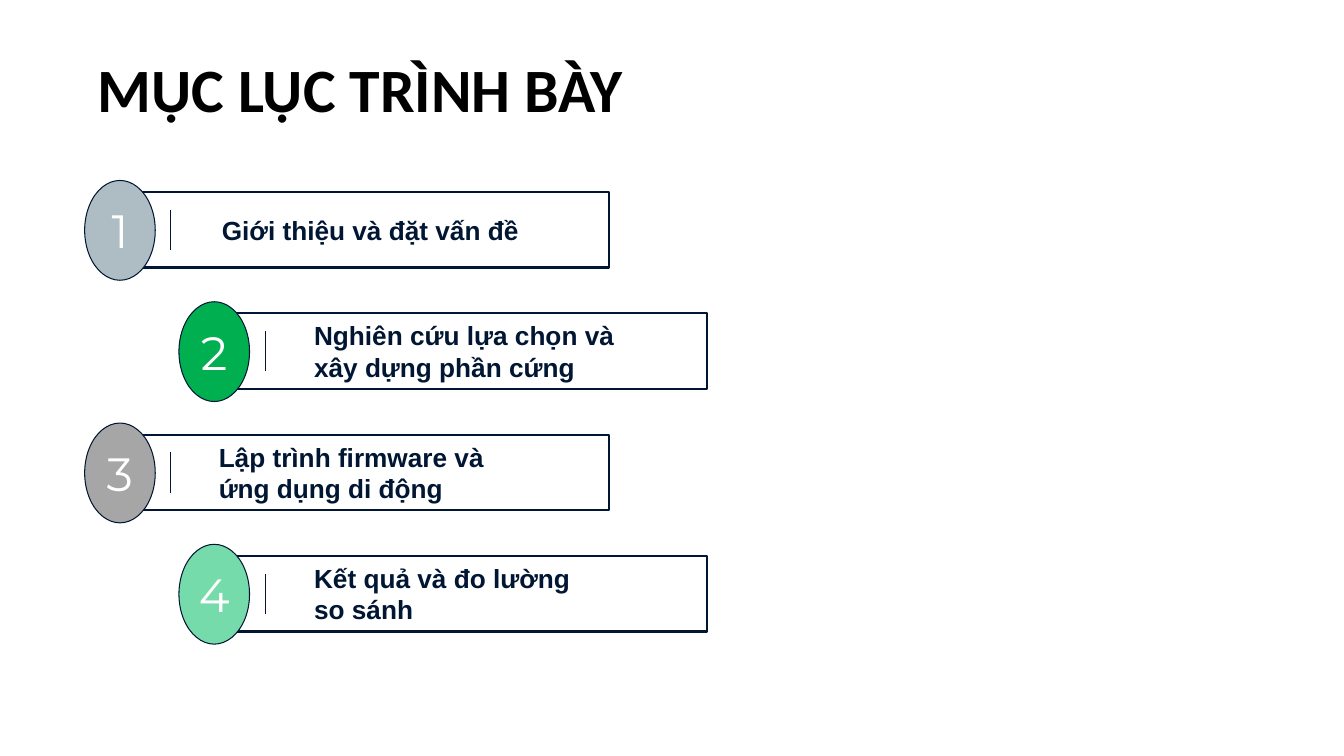
from dataclasses import dataclass

from lxml.etree import SubElement
from pptx import Presentation
from pptx.dml.color import RGBColor
from pptx.enum.shapes import MSO_CONNECTOR, MSO_SHAPE
from pptx.enum.text import MSO_ANCHOR, PP_ALIGN
from pptx.oxml.ns import qn
from pptx.util import Inches, Pt


@dataclass(frozen=True)
class Theme:
    ink: str = "001633"
    black: str = "000000"
    white: str = "FFFFFF"
    title_size: float = 44
    number_size: float = 33.3
    label_size: float = 18.7
    bar_line: float = 1.6
    thin_line: float = 0.75


@dataclass(frozen=True)
class Box:
    left: float
    top: float
    width: float
    height: float

    def inner(self, left, top, width, height):
        return Box(self.left + left, self.top + top, width, height)

    def place(self):
        return [cells(n) for n in (self.left, self.top, self.width, self.height)]


@dataclass(frozen=True)
class Entry:
    label: str
    color: str
    bar_width: float
    label_left: float
    label_width: float


THEME = Theme()
CELLS_PER_INCH = 10
OVAL_WIDTH, OVAL_HEIGHT = 7, 9.9
BAR_TOP, BAR_HEIGHT = 1.15, 7.5
STEP_RIGHT = 9.35
INSET = 1.3

ENTRIES = [
    Entry("Giới thiệu và đặt vấn đề", "AEBCC4", 48.5, 12.3, 35.9),
    Entry("Nghiên cứu lựa chọn và xây dựng phần cứng", "00B050", 48.9, 12.1, 36.4),
    Entry("Lập trình firmware và ứng dụng di động", "A6A6A6", 48.5, 12, 31),
    Entry("Kết quả và đo lường so sánh", "76DBAB", 48.9, 12.1, 29.5),
]


def cells(count):
    return Inches(count / CELLS_PER_INCH)


def set_line(line, width):
    line.color.rgb = RGBColor.from_string(THEME.ink)
    line.width = Pt(width)


def write(shape, text, font, color, anchor, align=PP_ALIGN.LEFT, wrap=True):
    frame = shape.text_frame
    sides = ("left", "top", "right", "bottom")
    layout = {f"margin_{side}": cells(INSET) for side in sides}
    layout |= {"word_wrap": wrap, "vertical_anchor": anchor}
    for name, value in layout.items():
        setattr(frame, name, value)
    para = frame.paragraphs[0]
    para.alignment = align
    span = para.add_run()
    span.text = text
    for name, value in font.items():
        setattr(span.font, name, value)
    span.font.color.rgb = RGBColor.from_string(color)


def add_outlined(page, kind, box, width, fill=None):
    shape = page.shapes.add_shape(kind, *box.place())
    shape.shadow.inherit = False
    if fill:
        shape.fill.solid()
        shape.fill.fore_color.rgb = RGBColor.from_string(fill)
    else:
        shape.fill.background()
    set_line(shape.line, width)
    return shape


def add_divider(page, box):
    left, top, width, height = box.place()
    line = page.shapes.add_connector(
        MSO_CONNECTOR.STRAIGHT, left, top, left + width, top + height
    )
    set_line(line.line, THEME.thin_line)
    SubElement(line._element.spPr, qn("a:effectLst"))


def add_title(page, box):
    title = page.shapes.add_textbox(*box.place())
    font = {"name": "Calibri", "size": Pt(THEME.title_size), "bold": True}
    write(title, "MỤC LỤC TRÌNH BÀY", font, THEME.black, MSO_ANCHOR.TOP)


def add_entry(page, box, number, entry):
    bar = box.inner(OVAL_WIDTH / 2, BAR_TOP, entry.bar_width, BAR_HEIGHT)
    add_outlined(page, MSO_SHAPE.RECTANGLE, bar, THEME.bar_line)

    badge = box.inner(0, 0, OVAL_WIDTH, OVAL_HEIGHT)
    oval = add_outlined(page, MSO_SHAPE.OVAL, badge, THEME.thin_line, entry.color)
    font = {"name": "Montserrat", "size": Pt(THEME.number_size)}
    write(oval, str(number), font, THEME.white, MSO_ANCHOR.MIDDLE,
          PP_ALIGN.CENTER, wrap=False)

    add_divider(page, box.inner(8.55, 2.9, 0, 4))

    label_box = box.inner(entry.label_left, BAR_TOP, entry.label_width, BAR_HEIGHT)
    label = page.shapes.add_textbox(*label_box.place())
    font = {"name": "Arial", "size": Pt(THEME.label_size), "bold": True}
    write(label, entry.label, font, THEME.ink, MSO_ANCHOR.MIDDLE)


def add_contents(page, box):
    pitch = (box.height - OVAL_HEIGHT) / (len(ENTRIES) - 1)
    for index, entry in enumerate(ENTRIES):
        shift = index % 2 * STEP_RIGHT
        row = box.inner(shift, index * pitch, box.width - shift, OVAL_HEIGHT)
        add_entry(page, row, index + 1, entry)


def main():
    deck = Presentation()
    deck.slide_width, deck.slide_height = Inches(13.33), Inches(7.5)
    page = deck.slides.add_slide(deck.slide_layouts[6])
    add_title(page, Box(8.4, 3.8, 116.6, 6.9))
    add_contents(page, Box(8.4, 17.9, 61.7, 46))
    deck.save("out.pptx")


if __name__ == "__main__":
    main()
